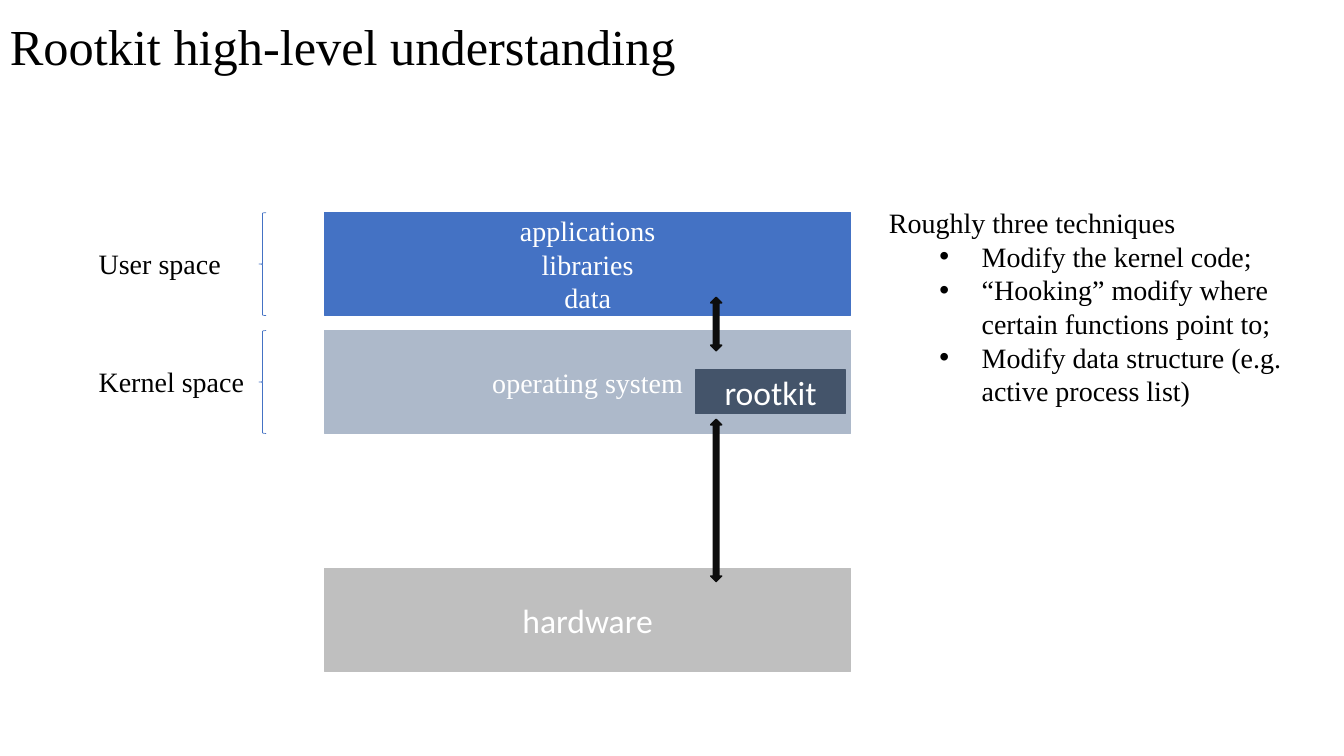
from lxml import etree
from pptx import Presentation
from pptx.dml.color import RGBColor
from pptx.enum import shapes, text
from pptx.oxml import ns
from pptx.util import Pt

COLORS = {
    "user": "4472C4",
    "kernel": "ADB9CA",
    "hardware": "BFBFBF",
    "rootkit": "44546A",
    "arrow": "0D0D0D",
    "white": "FFFFFF",
    "black": "000000",
}
SERIF = "Times New Roman"
SANS = "Calibri"

LAYER_LEFT, LAYER_WIDTH, LAYER_HEIGHT = 231.84, 375.84, 73.44
USER_TOP, KERNEL_TOP, HARDWARE_TOP = 151.92, 236.16, 406.08
LABEL_OFFSET = 20.88
ARROW_LEFT, ARROW_WIDTH = 507.6, 7.92

TECHNIQUES = [
    "Modify the kernel code;",
    "“Hooking” modify where certain functions point to;",
    "Modify data structure (e.g. active process list)",
]


def color(name):
    return RGBColor.from_string(COLORS[name])


def add_bullet(paragraph):
    paragraph.level = 1
    properties = paragraph._p.get_or_add_pPr()
    properties.set("marL", str(Pt(66.24)))
    properties.set("indent", str(Pt(-30.24)))
    etree.SubElement(properties, ns.qn("a:buFont")).set("typeface", "Arial")
    etree.SubElement(properties, ns.qn("a:buChar")).set("char", "•")


def write(frame, lines, size=20, font=SERIF, fill="black", align=text.PP_ALIGN.LEFT,
          anchor=text.MSO_ANCHOR.TOP, wrap=True, spacing=None, bullets_from=None):
    frame.word_wrap = wrap
    frame.vertical_anchor = anchor
    for index, line in enumerate(lines):
        paragraph = frame.add_paragraph() if index else frame.paragraphs[0]
        if bullets_from is not None and index >= bullets_from:
            add_bullet(paragraph)
        paragraph.alignment = align
        if spacing:
            paragraph.line_spacing = spacing
        run = paragraph.add_run()
        run.text = line
        run.font.size = Pt(size)
        run.font.name = font
        run.font.color.rgb = color(fill)


def add_text(slide, left, top, width, height, lines, grow=True, **style):
    box = slide.shapes.add_textbox(Pt(left), Pt(top), Pt(width), Pt(height))
    write(box.text_frame, lines, **style)
    if grow:
        box.text_frame.auto_size = text.MSO_AUTO_SIZE.SHAPE_TO_FIT_TEXT


def add_shape(slide, kind, left, top, width, height, line, fill=None, weight=1):
    shape = slide.shapes.add_shape(kind, Pt(left), Pt(top), Pt(width), Pt(height))
    shape.shadow.inherit = False
    shape.line.color.rgb = color(line)
    shape.line.width = Pt(weight)
    if fill:
        shape.fill.solid()
        shape.fill.fore_color.rgb = color(fill)
    else:
        shape.fill.background()
    return shape


def add_block(slide, left, top, width, height, fill, lines, **style):
    block = add_shape(slide, shapes.MSO_SHAPE.RECTANGLE, left, top, width, height, fill, fill)
    write(block.text_frame, lines, fill="white", align=text.PP_ALIGN.CENTER,
          anchor=text.MSO_ANCHOR.MIDDLE, **style)


def add_layer(slide, top, fill, lines, **style):
    add_block(slide, LAYER_LEFT, top, LAYER_WIDTH, LAYER_HEIGHT, fill, lines, **style)


def add_space(slide, top, label, width):
    add_shape(slide, shapes.MSO_SHAPE.LEFT_BRACE, 185.04, top, 5.04, LAYER_HEIGHT,
              "user", weight=0.5)
    add_text(slide, 63.36, top + LABEL_OFFSET, width, 31.68, [label], wrap=False)


def add_arrow(slide, top, height):
    add_shape(slide, shapes.MSO_SHAPE.UP_DOWN_ARROW, ARROW_LEFT, top, ARROW_WIDTH, height,
              "arrow", "arrow")


def main():
    presentation = Presentation()
    presentation.slide_width, presentation.slide_height = Pt(960), Pt(540)
    slide = presentation.slides.add_slide(presentation.slide_layouts[6])

    add_layer(slide, USER_TOP, "user", ["applications", "libraries", "data"])
    add_space(slide, USER_TOP, "User space", 102.24)
    add_layer(slide, KERNEL_TOP, "kernel", ["operating system"])
    add_space(slide, KERNEL_TOP, "Kernel space", 119.52)
    add_layer(slide, HARDWARE_TOP, "hardware", ["hardware"], size=24, font=SANS)
    add_arrow(slide, 212.4, 38.16)
    add_arrow(slide, 299.52, 115.92)
    add_block(slide, 496.8, 264.24, 107.28, 30.96, "rootkit", ["rootkit"], size=24, font=SANS)
    add_text(slide, 627.84, 143.28, 316.8, 152.64,
             ["Roughly three techniques", *TECHNIQUES], bullets_from=1)
    add_text(slide, 0, 0, 828, 70.56, ["Rootkit high-level understanding"], grow=False,
             size=36, anchor=text.MSO_ANCHOR.MIDDLE, spacing=0.9)

    presentation.save("out.pptx")


if __name__ == "__main__":
    main()
